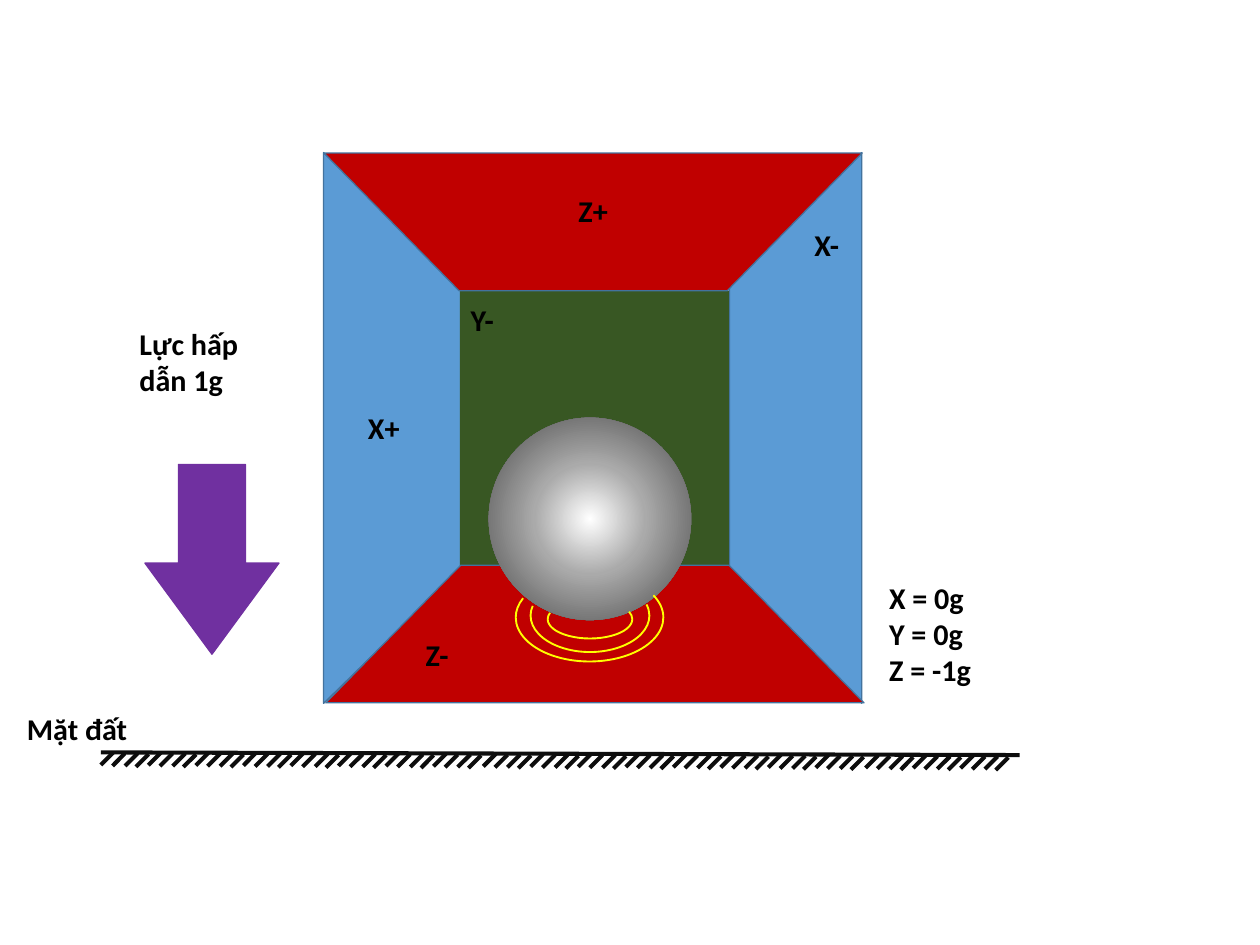
from dataclasses import dataclass

from lxml import etree
from pptx import Presentation
from pptx.dml.color import RGBColor
from pptx.enum.shapes import MSO_CONNECTOR, MSO_SHAPE
from pptx.enum.text import MSO_ANCHOR, MSO_AUTO_SIZE, PP_ALIGN
from pptx.oxml import parse_xml
from pptx.oxml.ns import nsdecls, qn
from pptx.util import Inches, Pt

TRAPEZOID = MSO_SHAPE.TRAPEZOID
RECTANGLE = MSO_SHAPE.RECTANGLE
OVAL = MSO_SHAPE.OVAL
ARC = MSO_SHAPE.ARC
ARROW = MSO_SHAPE.RIGHT_ARROW
STRAIGHT = MSO_CONNECTOR.STRAIGHT
MIDDLE = MSO_ANCHOR.MIDDLE
CENTER = PP_ALIGN.CENTER
FIT_TEXT = MSO_AUTO_SIZE.SHAPE_TO_FIT_TEXT

COLS, ROWS = 140, 105  # grid of the whole slide


@dataclass(frozen=True)
class Theme:
    font: str = "Calibri"
    size: float = 24.1
    text: str = "000000"
    side: str = "5B9BD5"
    floor: str = "C00000"
    back: str = "385723"
    edge: str = "43739E"
    wave: str = "FFFF00"
    gravity: str = "7030A0"
    ground: str = "0D0D0D"
    ball: tuple = ((0, "FFFFFF"), (39, "AAAAAA"), (83, "636363"))
    thin: float = 1
    medium: float = 1.5
    thick: float = 3.25


class Diagram:
    def __init__(self, prs, theme):
        self.theme = theme
        self.slide = prs.slides.add_slide(prs.slide_layouts[6])
        self.col = prs.slide_width / COLS
        self.row = prs.slide_height / ROWS

    def place(self, x, y, w, h):
        return [round(v) for v in (x * self.col, y * self.row,
                                   w * self.col, h * self.row)]

    def shape(self, kind, box, fill=None, line=None, width=1, rot=0, adj=()):
        sp = self.slide.shapes.add_shape(kind, *self.place(*box))
        sp.shadow.inherit = False
        sp.rotation = rot
        for i, value in enumerate(adj):
            sp.adjustments[i] = value
        if fill:
            sp.fill.solid()
            sp.fill.fore_color.rgb = RGBColor.from_string(fill)
        else:
            sp.fill.background()
        if line:
            sp.line.color.rgb = RGBColor.from_string(line)
            sp.line.width = Pt(width)
        else:
            sp.line.fill.background()
        return sp

    def ball(self, box):
        sp = self.shape(OVAL, box)
        stops = "".join(
            f'<a:gs pos="{pos * 1000}"><a:srgbClr val="{color}"/></a:gs>'
            for pos, color in self.theme.ball)
        grad = parse_xml(
            f'<a:gradFill {nsdecls("a")} rotWithShape="1"><a:gsLst>{stops}</a:gsLst>'
            '<a:path path="circle"><a:fillToRect l="50000" t="50000" r="50000"'
            ' b="50000"/></a:path></a:gradFill>')
        props = sp._element.spPr
        props.replace(props.find(qn("a:noFill")), grad)

    def set_text(self, tf, text):
        tf.text = text
        for p in tf.paragraphs:
            for r in p.runs:
                r.font.name = self.theme.font
                r.font.size = Pt(self.theme.size)
                r.font.bold = True
                r.font.color.rgb = RGBColor.from_string(self.theme.text)

    def label(self, text, box, wrap=False):
        tf = self.slide.shapes.add_textbox(*self.place(*box)).text_frame
        tf.word_wrap = wrap
        tf.auto_size = FIT_TEXT
        self.set_text(tf, text)

    def caption_upright(self, sp, text):
        """Centre text in a shape that is turned upside down."""
        tf = sp.text_frame
        self.set_text(tf, text)
        tf.vertical_anchor = MIDDLE
        tf.paragraphs[0].alignment = CENTER
        tf._txBody.bodyPr.set("rot", "10800000")

    def line(self, x1, y1, x2, y2):
        ends = self.place(x1, y1, x2, y2)
        cn = self.slide.shapes.add_connector(STRAIGHT, *ends)
        cn.line.color.rgb = RGBColor.from_string(self.theme.ground)
        cn.line.width = Pt(self.theme.thick)
        etree.SubElement(cn._element.spPr, qn("a:effectLst"))


def main():
    prs = Presentation()
    prs.slide_width, prs.slide_height = Inches(14), Inches(10.5)
    theme = Theme()
    d = Diagram(prs, theme)

    # Box seen from the front: side walls, back wall, ceiling and floor
    def wall(box, fill, rot, slant=0.98):
        return d.shape(TRAPEZOID, box, fill, theme.edge, theme.thin, rot, [slant])

    wall((57.8, 40.2, 61.2, 14.7), theme.side, 270, 1.01)
    wall((13, 39.9, 61.2, 15.3), theme.side, 90)
    d.shape(RECTANGLE, (51.1, 32.3, 29.9, 30.6), theme.back)
    ceiling = wall((36, 17, 59.8, 15.3), theme.floor, 180)
    d.caption_upright(ceiling, "Z+")
    wall((36.2, 62.8, 59.8, 15.3), theme.floor, 0)

    # Wall names, readings and gravity caption
    for text, box in (("X+", (39.9, 45, 6.2, 5.1)),
                      ("X-", (89.5, 24.7, 5.4, 5.1)),
                      ("Y-", (51.3, 33, 5.2, 5.1)),
                      ("Z-", (46.3, 70.2, 5.2, 5.1)),
                      ("X = 0g\nY = 0g\nZ = -1g", (97.8, 63.9, 13.2, 13.2))):
        d.label(text, box)
    d.label("Lực hấp dẫn 1g", (14.5, 35.7, 18.5, 9.1), wrap=True)

    # Ball and the pressure waves under it
    d.ball((54.3, 46.4, 22.5, 22.5))
    for box, arc in (((61.5, 61.8, 8.1, 13.2), (155.3, 59.78)),
                     ((63.4, 64.1, 4.3, 9.4), (155.54, 59.4)),
                     ((60.6, 60.4, 9.8, 16.4), (150.56, 63.66))):
        d.shape(ARC, box, line=theme.wave, width=theme.medium, rot=90, adj=arc)

    # Gravity arrow
    d.shape(ARROW, (13, 54.7, 21.1, 14.9), theme.gravity, theme.gravity,
            theme.thin, 90, (0.5, 0.68))

    # Ground: a line with hatching in groups of four strokes
    d.line(11.2, 83.6, 113.3, 83.9)
    for group in range(19):
        left = 11.2 + 5.28 * group + 0.25 * (group // 8)
        top = 83.6 + 0.02 * group
        for dx, dy in ((0, 0), (1.3, 0.1), (2.7, 0.1), (3.9, 0.2)):
            x, y = left + dx, top + dy
            d.line(x, y + 1.4, x + 1.4, y)
    d.label("Mặt đất", (2, 78.4, 18.5, 5.1), wrap=True)

    prs.save("out.pptx")


if __name__ == "__main__":
    main()
